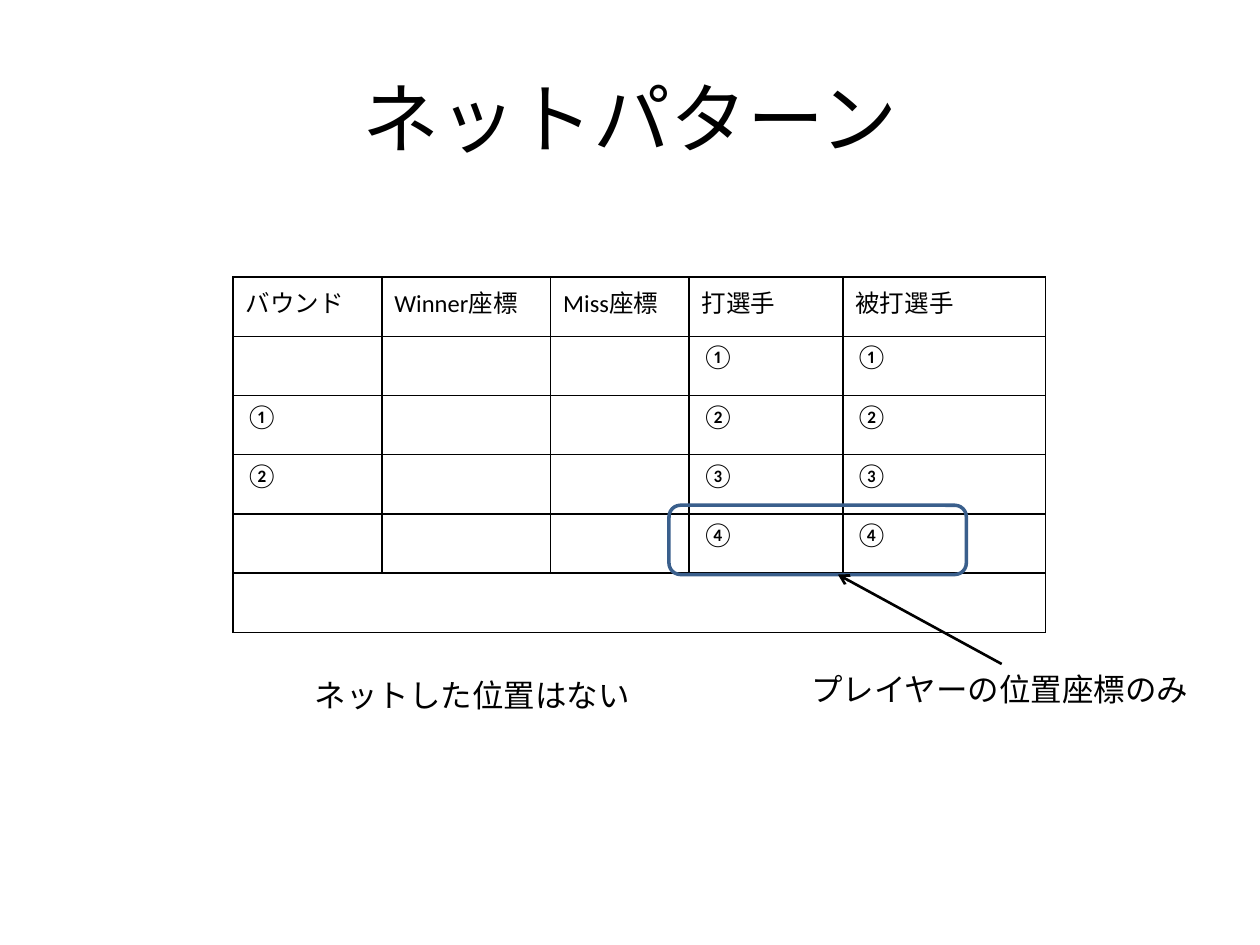
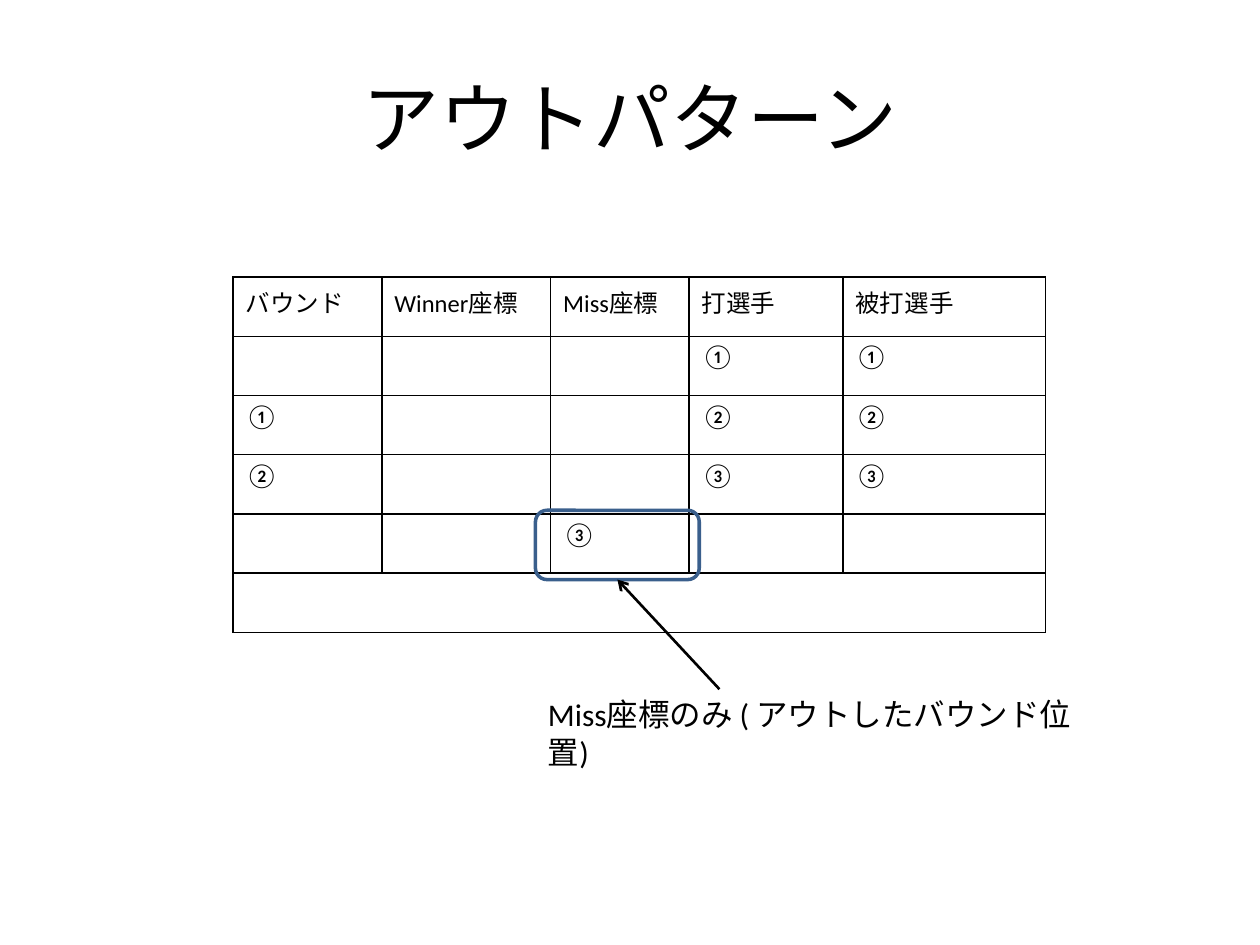
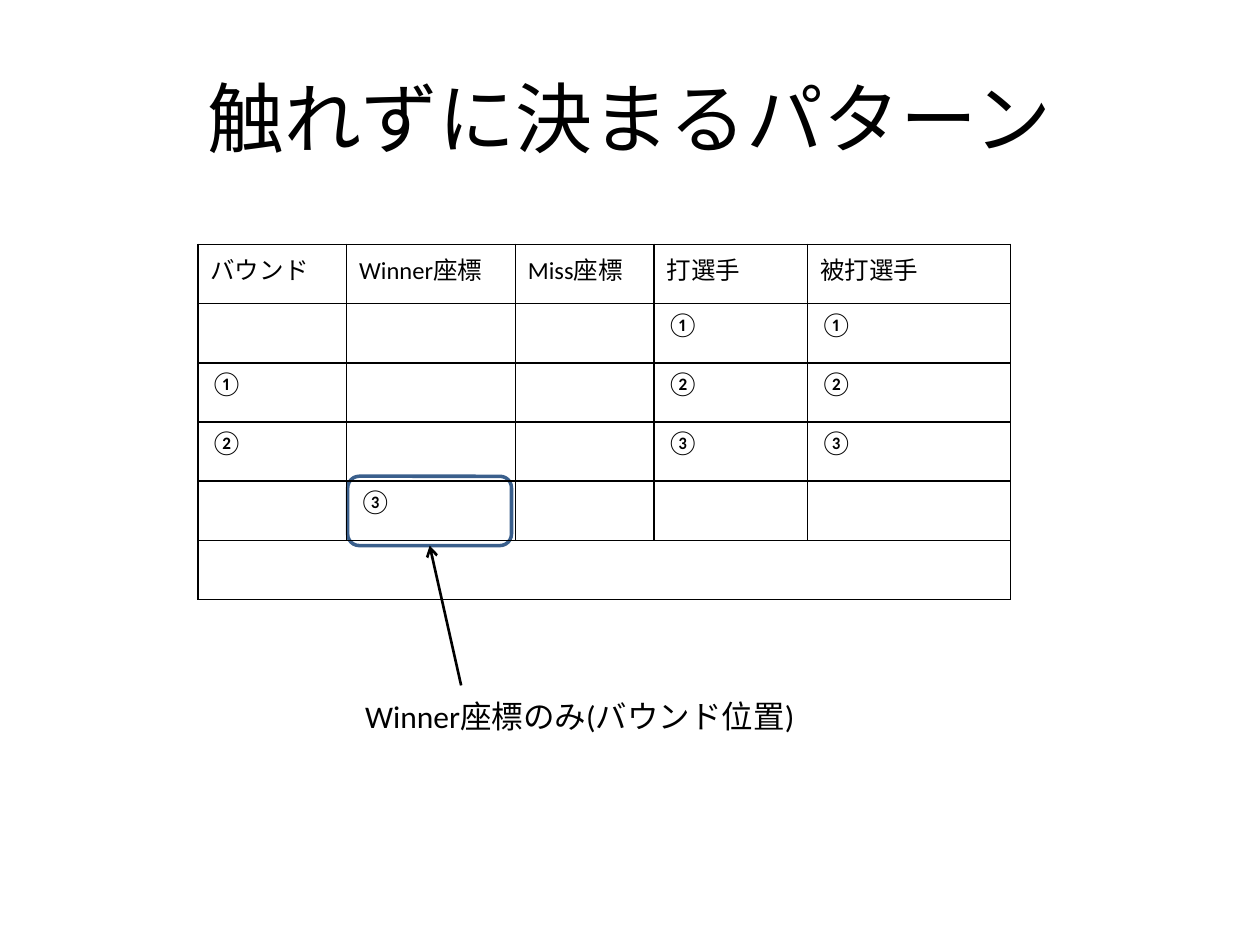
import pptx
import pptx.dml.color
import pptx.enum.shapes
import pptx.enum.text
import pptx.oxml
import pptx.oxml.ns
import pptx.util
from lxml import etree

Inches = pptx.util.Inches
Pt = pptx.util.Pt

COLORS = {"ink": "000000", "highlight": "3A5F8C", "paper": "FFFFFF"}
FONT = "Calibri"

# Table shared by every pattern
COLUMN_WIDTHS = [1.18, 1.34, 1.1, 1.22, 1.61]
ROW_HEIGHT = 0.47
HEADER = ["バウンド", "Winner座標", "Miss座標", "打選手", "被打選手"]
RALLY = [
    ["", "", "", "①", "①"],
    ["①", "", "", "②", "②"],
    ["②", "", "", "③", "③"],
]


def rgb(name):
    return pptx.dml.color.RGBColor.from_string(COLORS[name])


def write_text(frame, text, size=18, color="ink", align=None, anchor=None):
    frame.word_wrap = True
    if anchor is not None:
        frame.vertical_anchor = anchor
    paragraph = frame.paragraphs[0]
    paragraph.alignment = align
    run = paragraph.add_run()
    run.text = text
    run.font.name = FONT
    run.font.size = Pt(size)
    run.font.bold = False
    run.font.color.rgb = rgb(color)


def add_cell_borders(cell, color="ink", width=1):
    properties = cell._tc.get_or_add_tcPr()
    for index, side in enumerate(["lnL", "lnR", "lnT", "lnB"]):
        border = pptx.oxml.parse_xml(
            f'<a:{side} {pptx.oxml.ns.nsdecls("a")} w="{Pt(width)}">'
            f'<a:solidFill><a:srgbClr val="{COLORS[color]}"/></a:solidFill></a:{side}>'
        )
        properties.insert(index, border)


class PatternDeck:
    def __init__(self):
        self.presentation = pptx.Presentation()
        self.presentation.slide_width = Inches(10)
        self.presentation.slide_height = Inches(7.5)
        self.slide = None

    def add_slide(self, title):
        self.slide = self.presentation.slides.add_slide(self.presentation.slide_layouts[6])
        background = self.slide.background.fill
        background.solid()
        background.fore_color.rgb = rgb("paper")
        self.add_text(title, 0.5, 0.3, 9, 1.25, size=44,
                      align=pptx.enum.text.PP_ALIGN.CENTER,
                      anchor=pptx.enum.text.MSO_ANCHOR.MIDDLE)

    def add_text(self, text, left, top, width, height=0.4, **text_format):
        box = self.slide.shapes.add_textbox(
            Inches(left), Inches(top), Inches(width), Inches(height))
        write_text(box.text_frame, text, **text_format)

    def add_rally_table(self, left, top, last_shot):
        rows = [HEADER, *RALLY, last_shot, [""] * len(HEADER)]
        table = self.slide.shapes.add_table(
            len(rows), len(HEADER), Inches(left), Inches(top),
            Inches(sum(COLUMN_WIDTHS)), Inches(ROW_HEIGHT * len(rows))).table
        table.first_row = False
        table.horz_banding = False
        for column, width in zip(table.columns, COLUMN_WIDTHS):
            column.width = Inches(width)
        for row, values in zip(table.rows, rows):
            row.height = Inches(ROW_HEIGHT)
            for cell, value in zip(row.cells, values):
                cell.fill.background()
                add_cell_borders(cell)
                if value:
                    write_text(cell.text_frame, value, size=14)
        # The closing row is one wide cell
        bottom = len(rows) - 1
        table.cell(bottom, 0).merge(table.cell(bottom, len(HEADER) - 1))

    def add_highlight(self, left, top, width, height=0.55):
        shape = self.slide.shapes.add_shape(
            pptx.enum.shapes.MSO_SHAPE.ROUNDED_RECTANGLE,
            Inches(left), Inches(top), Inches(width), Inches(height))
        shape.shadow.inherit = False
        shape.fill.background()
        shape.line.color.rgb = rgb("highlight")
        shape.line.width = Pt(2)
        return shape

    def add_arrow(self, start, end=(0, 0), target=None):
        """Point at the bottom middle of target, or at end when there is none."""
        arrow = self.slide.shapes.add_connector(
            pptx.enum.shapes.MSO_CONNECTOR.STRAIGHT,
            *(Inches(value) for value in (*start, *end)))
        if target is not None:
            arrow.end_connect(target, 2)
        arrow.line.color.rgb = rgb("ink")
        arrow.line.width = Pt(1.5)
        etree.SubElement(arrow.line._get_or_add_ln(),
                         pptx.oxml.ns.qn("a:tailEnd"), type="arrow")
        etree.SubElement(arrow._element.spPr, pptx.oxml.ns.qn("a:effectLst"))


def main():
    deck = PatternDeck()

    # Net
    deck.add_slide("ネットパターン")
    deck.add_rally_table(1.85, 2.2, ["", "", "", "④", "④"])
    deck.add_highlight(5.31, 4.01, 2.36)
    deck.add_text("プレイヤーの位置座標のみ", 6.34, 5.27, 3.23)
    deck.add_arrow((7.95, 5.27), end=(6.65, 4.56))
    deck.add_text("ネットした位置はない", 2.4, 5.32, 2.99)

    # Out
    deck.add_slide("アウトパターン")
    deck.add_rally_table(1.85, 2.2, ["", "", "③", "", ""])
    miss = deck.add_highlight(4.25, 4.05, 1.3)
    deck.add_text("Miss座標のみ ( アウトしたバウンド位置)", 4.25, 5.47, 4.45)
    deck.add_arrow((5.71, 5.47), target=miss)

    # Winner, with the table in front of the highlight
    deck.add_slide("触れずに決まるパターン")
    winner = deck.add_highlight(2.76, 3.78, 1.3)
    deck.add_text("Winner座標のみ(バウンド位置)", 2.8, 5.48, 4.45)
    deck.add_arrow((3.66, 5.44), target=winner)
    deck.add_rally_table(1.57, 1.94, ["", "③", "", "", ""])

    deck.presentation.save("out.pptx")


if __name__ == "__main__":
    main()
